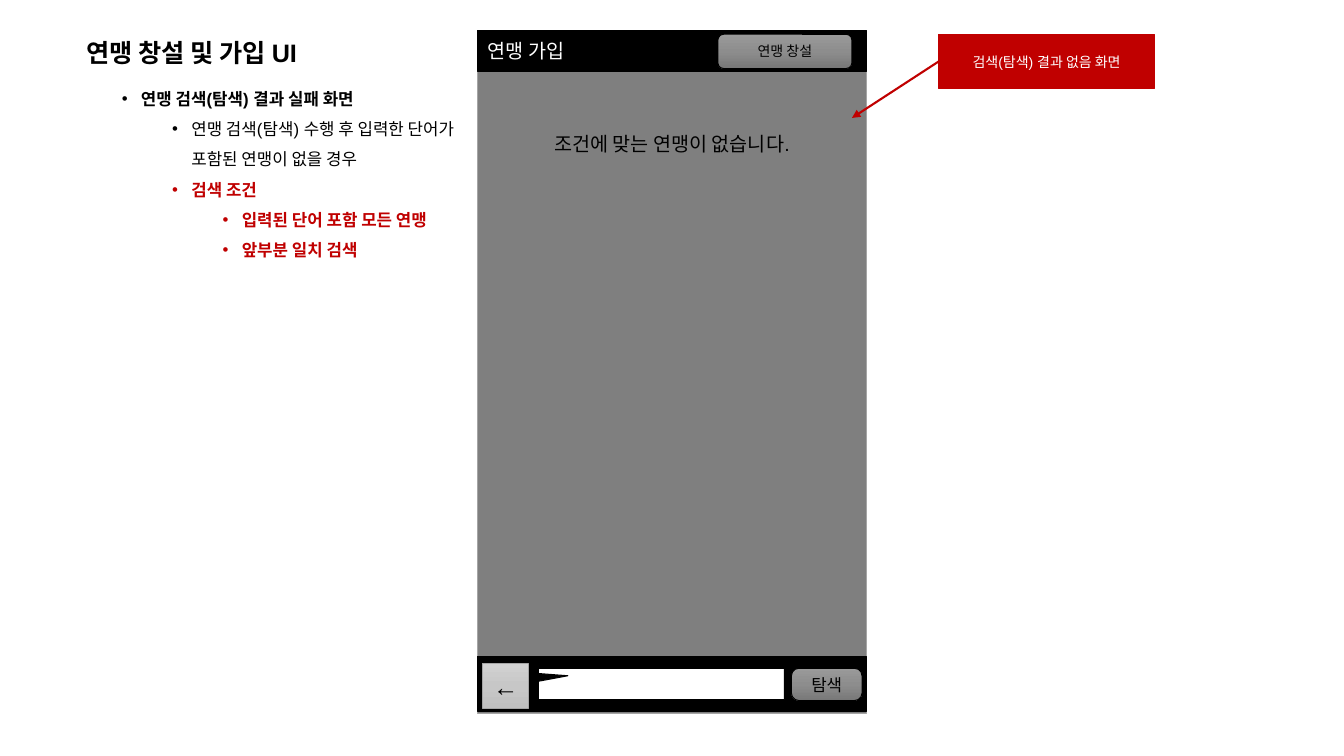
from copy import deepcopy
from dataclasses import dataclass

from lxml import etree
from pptx import Presentation
from pptx.dml.color import RGBColor
from pptx.enum.shapes import MSO_CONNECTOR, MSO_SHAPE
from pptx.enum.text import MSO_ANCHOR, PP_ALIGN
from pptx.oxml.ns import qn
from pptx.util import Emu, Pt

PX = 9144  # EMU in one px, 100 px to the inch
RECTANGLE = MSO_SHAPE.RECTANGLE
ROUNDED = MSO_SHAPE.ROUNDED_RECTANGLE
CALLOUT = MSO_SHAPE.RECTANGULAR_CALLOUT
STRAIGHT = MSO_CONNECTOR.STRAIGHT
TOP, MIDDLE = MSO_ANCHOR.TOP, MSO_ANCHOR.MIDDLE
LEFT, CENTER = PP_ALIGN.LEFT, PP_ALIGN.CENTER
LEFT_SIDE = 1


@dataclass(frozen=True)
class Theme:
    font: str = "Arial"
    black: str = "000000"
    white: str = "FFFFFF"
    red: str = "C00000"
    screen: str = "7F7F7F"
    edge: str = "A5A5A5"
    button: tuple[str, ...] = ("9A9A9A", "8D8D8D", "787878")
    back: tuple[str, ...] = ("D1D1D1", "C7C7C7", "C0C0C0")
    title: int = 18
    heading: int = 14
    body: int = 12
    label: int = 10


THEME = Theme()


@dataclass(frozen=True)
class Panel:
    box: tuple[int, int, int, int]
    fill: str | tuple[str, ...]
    line: str = THEME.black
    text: str = ""
    size: int = THEME.body
    color: str = THEME.black
    align: PP_ALIGN = CENTER
    kind: MSO_SHAPE = RECTANGLE
    adjustments: tuple[float, ...] = ()
    weight: float = 0.75
    anchor: MSO_ANCHOR = MIDDLE
    inset_top: int = 5


@dataclass(frozen=True)
class Bullet:
    level: int
    text: str
    color: str = THEME.black
    bold: bool = True


# Phone screen, from back to front
SCREEN_PARTS = [
    Panel((474, 30, 385, 678), THEME.screen, THEME.edge, "조건에 맞는 연맹이 없습니다.",
          THEME.heading, anchor=TOP, inset_top=101),
    Panel((474, 30, 385, 41), THEME.black, text="연맹 가입", size=THEME.heading,
          color=THEME.white, align=LEFT),
    Panel((474, 651, 385, 55), THEME.black),
    Panel((479, 658, 45, 45), THEME.back, THEME.edge, "←", THEME.title),
    Panel((712, 34, 133, 34), THEME.button, text="연맹 창설", size=THEME.label,
          kind=ROUNDED, adjustments=(0.17,)),
    Panel((534, 663, 244, 31), THEME.white, kind=CALLOUT, adjustments=(-0.38, -0.26)),
    Panel((785, 663, 70, 32), THEME.button, text="탐색", kind=ROUNDED, adjustments=(0.23,)),
]
NOTE = Panel((931, 34, 214, 54), THEME.red, THEME.red, "검색(탐색) 결과 없음 화면",
             THEME.label, THEME.white, weight=1)
ARROW_TIP = (845, 117)

TITLE = "연맹 창설 및 가입 UI"
BULLETS = [
    Bullet(0, "연맹 검색(탐색) 결과 실패 화면"),
    Bullet(1, "연맹 검색(탐색) 수행 후 입력한 단어가 포함된 연맹이 없을 경우", bold=False),
    Bullet(1, "검색 조건", THEME.red),
    Bullet(2, "입력된 단어 포함 모든 연맹", THEME.red),
    Bullet(2, "앞부분 일치 검색", THEME.red),
]


def px(*lengths: int) -> list[Emu]:
    return [Emu(length * PX) for length in lengths]


def rgb(color: str) -> RGBColor:
    return RGBColor.from_string(color)


def add_span(para, text: str, size: int, color: str, bold: bool = False) -> None:
    span = para.add_run()
    span.text = text
    span.font.name = THEME.font
    span.font.size = Pt(size)
    span.font.bold = bold
    span.font.color.rgb = rgb(color)


def paint_gradient(shape, colors: tuple[str, ...]) -> None:
    shape.fill.gradient()
    shape.fill.gradient_angle = 270
    stop_list = shape._element.spPr.find(qn("a:gradFill")).find(qn("a:gsLst"))
    stop_list.insert(1, deepcopy(stop_list[0]))
    for index, (stop, color) in enumerate(zip(shape.fill.gradient_stops, colors)):
        stop.position = index / (len(colors) - 1)
        stop.color.rgb = rgb(color)


def add_panel(page, panel: Panel):
    shape = page.shapes.add_shape(panel.kind, *px(*panel.box))
    shape.shadow.inherit = False
    for index, value in enumerate(panel.adjustments):
        shape.adjustments[index] = value
    if isinstance(panel.fill, tuple):
        paint_gradient(shape, panel.fill)
    else:
        shape.fill.solid()
        shape.fill.fore_color.rgb = rgb(panel.fill)
    shape.line.color.rgb = rgb(panel.line)
    shape.line.width = Pt(panel.weight)
    if panel.text:
        frame = shape.text_frame
        frame.word_wrap = True
        frame.vertical_anchor = panel.anchor
        frame.margin_top = px(panel.inset_top)[0]
        para = frame.paragraphs[0]
        para.alignment = panel.align
        add_span(para, panel.text, panel.size, panel.color)
    return shape


def add_text_frame(page, box: tuple[int, int, int, int]):
    frame = page.shapes.add_textbox(*px(*box)).text_frame
    frame.word_wrap = True
    return frame


def add_bullet(para, bullet: Bullet) -> None:
    para.level = bullet.level
    para.line_spacing = 1.5
    properties = para._p.get_or_add_pPr()
    indent, hanging = px(19 + 50 * bullet.level, -19)
    properties.set("marL", str(indent))
    properties.set("indent", str(hanging))
    tint = etree.SubElement(properties, qn("a:buClr"))
    etree.SubElement(tint, qn("a:srgbClr"), val=bullet.color)
    etree.SubElement(properties, qn("a:buFont"), typeface=THEME.font)
    etree.SubElement(properties, qn("a:buChar"), char="•")
    add_span(para, bullet.text, THEME.body, bullet.color, bullet.bold)


def add_arrow(page, source, tip: tuple[int, int]) -> None:
    arrow = page.shapes.add_connector(STRAIGHT, *px(0, 0, *tip))
    arrow.begin_connect(source, LEFT_SIDE)
    arrow.line.color.rgb = rgb(THEME.red)
    arrow.line.width = Pt(1.5)
    etree.SubElement(arrow.line._get_or_add_ln(), qn("a:tailEnd"), type="triangle")
    etree.SubElement(arrow._element.spPr, qn("a:effectLst"))


def main() -> None:
    deck = Presentation()
    deck.slide_width, deck.slide_height = px(1333, 750)
    page = deck.slides.add_slide(deck.slide_layouts[6])

    for panel in SCREEN_PARTS:
        add_panel(page, panel)

    # Title and description
    title = add_text_frame(page, (76, 32, 259, 40))
    add_span(title.paragraphs[0], TITLE, THEME.title, THEME.black, bold=True)
    description = add_text_frame(page, (111, 73, 354, 192))
    for index, bullet in enumerate(BULLETS):
        para = description.add_paragraph() if index else description.paragraphs[0]
        add_bullet(para, bullet)

    # Red note pointing at the screen
    note = add_panel(page, NOTE)
    add_arrow(page, note, ARROW_TIP)

    deck.save("out.pptx")


if __name__ == "__main__":
    main()
